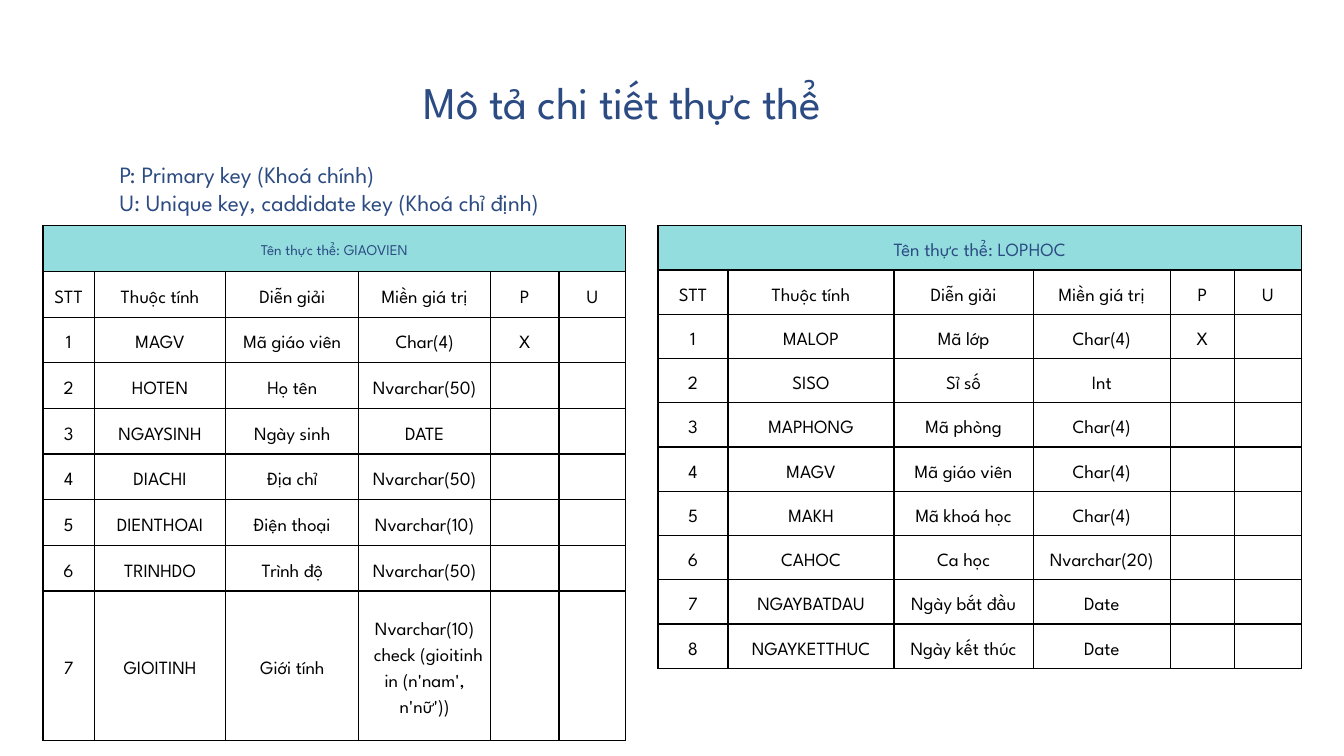
from lxml.etree import SubElement
from pptx import Presentation
from pptx.dml.color import RGBColor
from pptx.enum.text import MSO_ANCHOR as Anchor, MSO_AUTO_SIZE as AutoSize, PP_ALIGN as Align
from pptx.oxml.ns import qn
from pptx.util import Pt

NAVY, AQUA, BLACK = "2B4B82", "94DDDE", "000000"
HEADINGS = ("STT", "Thuộc tính", "Diễn giải", "Miền giá trị", "P", "U")


def colour(value):
    return RGBColor.from_string(value)


def write(frame, text, size=20, line=28, ink=BLACK, align=Align.CENTER, spacing=0, indent=0):
    for index, words in enumerate(text.split("\n")):
        paragraph = frame.add_paragraph() if index else frame.paragraphs[0]
        paragraph.alignment = align
        paragraph.line_spacing = Pt(line)
        if index and indent:
            paragraph._p.get_or_add_pPr().set("indent", str(Pt(indent)))
        run = paragraph.add_run()
        run.text = words
        run.font.name = "League Spartan"
        run.font.size = Pt(size)
        run.font.color.rgb = colour(ink)
        if spacing:
            run._r.get_or_add_rPr().set("spc", str(round(spacing * 100)))


class EntitySlide:
    border = 1.5

    def __init__(self, deck):
        self.slide = deck.slides.add_slide(deck.slide_layouts[6])

    def label(self, left, top, width, height, text, **style):
        frame = self.slide.shapes.add_textbox(Pt(left), Pt(top), Pt(width), Pt(height)).text_frame
        frame.word_wrap = True
        frame.auto_size = AutoSize.SHAPE_TO_FIT_TEXT
        frame.margin_left = frame.margin_right = frame.margin_top = frame.margin_bottom = 0
        write(frame, text, ink=NAVY, align=Align.LEFT, **style)

    def outline(self, cell):
        properties = cell._tc.get_or_add_tcPr()
        for side in ("lnL", "lnR", "lnT", "lnB"):
            edge = SubElement(properties, qn(f"a:{side}"), w=str(Pt(self.border)))
            SubElement(SubElement(edge, qn("a:solidFill")), qn("a:srgbClr"), val=BLACK)

    def entity(self, left, top, widths, heights, margin, name, attributes, **name_style):
        grid = self.slide.shapes.add_table(
            len(heights), len(widths), Pt(left), Pt(top), Pt(sum(widths)), Pt(sum(heights))
        ).table
        grid.first_row = grid.horz_banding = False
        for column, width in zip(grid.columns, widths):
            column.width = Pt(width)
        for row, height in zip(grid.rows, heights):
            row.height = Pt(height)
        for cell in grid.iter_cells():
            self.outline(cell)
            cell.fill.background()
            cell.vertical_anchor = Anchor.MIDDLE
            cell.margin_left = cell.margin_right = cell.margin_top = cell.margin_bottom = Pt(margin)

        banner = grid.cell(0, 0)
        banner.merge(grid.cell(0, len(widths) - 1))
        banner.fill.solid()
        banner.fill.fore_color.rgb = colour(AQUA)
        write(banner.text_frame, f"Tên thực thể: {name}", ink=NAVY, **name_style)

        numbered = [(str(number), *attribute) for number, attribute in enumerate(attributes, 1)]
        for row, values in enumerate([HEADINGS, *numbered], 1):
            for column, value in enumerate(values):
                write(grid.cell(row, column).text_frame, value, indent=8)


def main():
    deck = Presentation()
    deck.slide_width, deck.slide_height = Pt(1440), Pt(810)
    page = EntitySlide(deck)

    teacher = [
        ("MAGV", "Mã giáo viên", "Char(4)", "X"),
        ("HOTEN", "Họ tên", "Nvarchar(50)"),
        ("NGAYSINH", "Ngày sinh", "DATE"),
        ("DIACHI", "Địa chỉ", "Nvarchar(50)"),
        ("DIENTHOAI", "Điện thoại", "Nvarchar(10)"),
        ("TRINHDO", "Trình độ", "Nvarchar(50)"),
        ("GIOITINH", "Giới tính", "Nvarchar(10)\ncheck (gioitinh in (n'nam', n'nữ'))"),
    ]
    school_class = [
        ("MALOP", "Mã lớp", "Char(4)", "X"),
        ("SISO", "Sỉ số", "Int"),
        ("MAPHONG", "Mã phòng", "Char(4)"),
        ("MAGV", "Mã giáo viên", "Char(4)"),
        ("MAKH", "Mã khoá học", "Char(4)"),
        ("CAHOC", "Ca học", "Nvarchar(20)"),
        ("NGAYBATDAU", "Ngày bắt đầu", "Date"),
        ("NGAYKETTHUC", "Ngày kết thúc", "Date"),
    ]

    page.entity(46, 242, (55, 141, 142.5, 141, 73.5, 71.5), [48.9] * 8 + [160], 5.8,
                "GIAOVIEN", teacher, size=16, line=22.4)
    page.label(454.3, 82.8, 532, 56, "Mô tả chi tiết thực thể", size=48.5, line=55.3, spacing=-0.5)
    page.label(128.2, 171.4, 541, 58,
               "P: Primary key (Khoá chính)\nU: Unique key, caddidate key (Khoá chỉ định)",
               size=25, line=30)
    page.entity(705, 242, (75, 178, 149, 147, 68.5, 72), [47.4] * 10, 5,
                "LOPHOC", school_class)

    deck.save("out.pptx")


if __name__ == "__main__":
    main()
